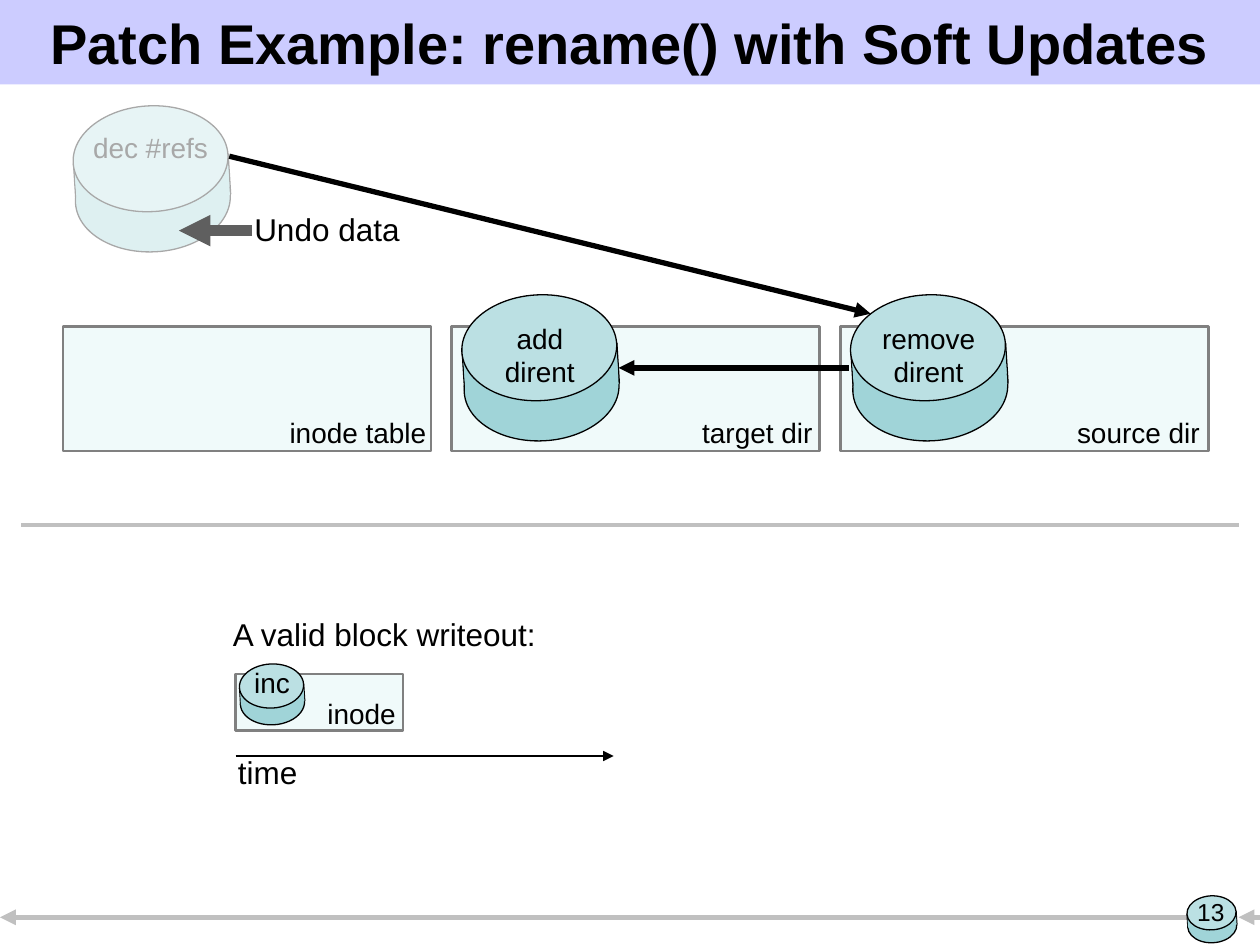
from pptx import Presentation
from pptx.dml.color import RGBColor
from pptx.enum.shapes import MSO_CONNECTOR, MSO_SHAPE as SHAPE
from pptx.enum.text import MSO_ANCHOR as ANCHOR, MSO_AUTO_SIZE as AUTO, PP_ALIGN as ALIGN
from pptx.oxml.ns import qn
from pptx.util import Inches, Pt
from lxml.etree import SubElement

COLORS = {
    "text": "000000", "band": "CCCCFF", "rule": "C0C0C0", "side": "A0D4D8",
    "top": "BBE0E3", "block": "F0FAFA", "border": "808080", "undo": "5F5F5F",
    "veil": "FFFFFF",
}


def rgb(name):
    return RGBColor.from_string(COLORS[name])


def set_all(obj, values):
    for name, value in values.items():
        setattr(obj, name, value)


def add_shape(s, kind, box, fill, line=None, width=0.75, rotation=0):
    sp = s.shapes.add_shape(kind, *map(Inches, box))
    sp.shadow.inherit = False
    sp.rotation = rotation
    sp.fill.solid()
    sp.fill.fore_color.rgb = rgb(fill)
    if line:
        sp.line.color.rgb = rgb(line)
        sp.line.width = Pt(width)
    else:
        sp.line.fill.background()
    return sp


def add_text(s, box, lines, size=16, align=ALIGN.LEFT, bold=False, wrap=False, anchor=ANCHOR.TOP):
    tf = s.shapes.add_textbox(*map(Inches, box)).text_frame
    set_all(tf, {"word_wrap": wrap, "auto_size": AUTO.NONE, "vertical_anchor": anchor})
    for i, line in enumerate(lines):
        p = tf.add_paragraph() if i else tf.paragraphs[0]
        p.alignment = align
        r = p.add_run()
        r.text = line
        set_all(r.font, {"name": "Arial", "size": Pt(size), "bold": bold})
        r.font.color.rgb = rgb("text")


def add_line(s, start, end, color, width, arrow=True):
    c = s.shapes.add_connector(MSO_CONNECTOR.STRAIGHT, *map(Inches, (*start, *end)))
    c.line.color.rgb = rgb(color)
    c.line.width = Pt(width)
    spPr = c._element.spPr
    if arrow:
        SubElement(spPr.find(qn("a:ln")), qn("a:tailEnd"), type="triangle")
    SubElement(spPr, qn("a:effectLst"))


def add_disk(s, x, y, w, h):
    side = (x + 0.01 * w, y + 0.5 * h, w, 0.38 * h)
    add_shape(s, SHAPE.RECTANGLE, side, "side", "text", rotation=356.4)
    add_shape(s, SHAPE.OVAL, (x + 0.015 * w, y + 0.38 * h, w, h), "side", "text", rotation=356.9)
    cover = (x + 0.015 * w, y + 0.51 * h, 0.99 * w, 0.38 * h)
    add_shape(s, SHAPE.RECTANGLE, cover, "side", rotation=356.4)
    add_shape(s, SHAPE.OVAL, (x, y, w, h), "top", "text", rotation=356.9)


def add_block(s, box):
    add_shape(s, SHAPE.RECTANGLE, box, "block", "border", 1.5)


def add_header(s, x, y, w, h):
    add_shape(s, SHAPE.RECTANGLE, (x, y, w, h), "band")
    add_text(s, (x + 0.08, y + 0.04, w - 0.16, h - 0.08),
             ["Patch Example: rename() with Soft Updates"],
             32, ALIGN.CENTER, True, True, ANCHOR.MIDDLE)


def add_footer(s, x, y, w, h):
    mid = y + 0.17
    add_line(s, (x + w - 0.58, mid), (x, mid), "rule", 3)
    add_disk(s, x + w - 0.58, y, 0.39, 0.27)
    add_line(s, (x + w, mid), (x + w - 0.17, mid), "rule", 3)
    add_text(s, (x + w - 0.63, y - 0.04, 0.48, 0.52), ["13"], 14, ALIGN.CENTER, wrap=True)


def add_blocks(s, x, y, w, h):
    block_w = 2.92
    step = (w - block_w) / 2
    labels = [("inode table", 1.7, 1.4, None),
              ("target dir", 1.89, 1.2, "add"),
              ("source dir", 1.78, 1.3, "remove")]
    for i, (label, label_x, label_w, verb) in enumerate(labels):
        left = x + i * step
        add_block(s, (left, y, block_w, h))
        add_text(s, (left + label_x, y + 0.66, label_w, 0.37), [label])
        if verb:
            add_disk(s, left + 0.08, y - 0.25, 1.23, 0.84)
            add_text(s, (left + 0.15, y - 0.09, 1.1, 0.64),
                     [verb, "dirent"], align=ALIGN.CENTER)
    add_line(s, (x + 6.24, y + 0.33), (x + 4.41, y + 0.33), "text", 3)


def add_undone_patch(s, x, y, w, h):
    add_disk(s, x + 0.08, y + 0.09, 1.23, 0.84)
    add_text(s, (x + 0.14, y + 0.24, 1.2, 0.37), ["dec #refs"])
    veil = add_shape(s, SHAPE.RECTANGLE, (x, y, w, h), "veil")
    color = veil._element.spPr.find(qn("a:solidFill"))[0]
    SubElement(color, qn("a:alpha"), val="66000")
    add_line(s, (x + 1.32, y + 0.49), (x + 6.41, y + 1.74), "text", 3)
    add_text(s, (x + 1.42, y + 0.87, 1.5, 0.4), ["Undo data"], 18)
    add_line(s, (x + w, y + 1.08), (x + 0.92, y + 1.08), "undo", 6)


def add_writeout(s, x, y, w, h):
    add_text(s, (x - 0.12, y, 2.8, 0.4), ["A valid block writeout:"], 18)
    add_block(s, (x, y + 0.52, 1.33, 0.45))
    add_disk(s, x + 0.03, y + 0.44, 0.51, 0.35)
    add_text(s, (x + 0.53, y + 0.65, 0.84, 0.37), ["inode"], align=ALIGN.RIGHT)
    add_text(s, (x - 0.01, y + 0.4, 0.6, 0.37), ["inc"], align=ALIGN.CENTER)
    add_line(s, (x, y + 1.17), (x + w, y + 1.17), "text", 0.75)
    add_text(s, (x - 0.08, y + h - 0.4, 0.8, 0.4), ["time"], 18)


def main():
    prs = Presentation()
    set_all(prs, {"slide_width": Inches(10), "slide_height": Inches(7.5)})
    s = prs.slides.add_slide(prs.slide_layouts[6])
    add_header(s, 0, 0, 10, 0.67)
    add_blocks(s, 0.5, 2.59, 9.09, 0.99)
    add_undone_patch(s, 0.5, 0.75, 1.5, 1.33)
    add_line(s, (0.17, 4.17), (9.83, 4.17), "rule", 2.25, arrow=False)
    add_writeout(s, 1.87, 4.83, 3, 1.5)
    add_footer(s, 0, 7.11, 10, 0.39)
    prs.save("out.pptx")


if __name__ == "__main__":
    main()
